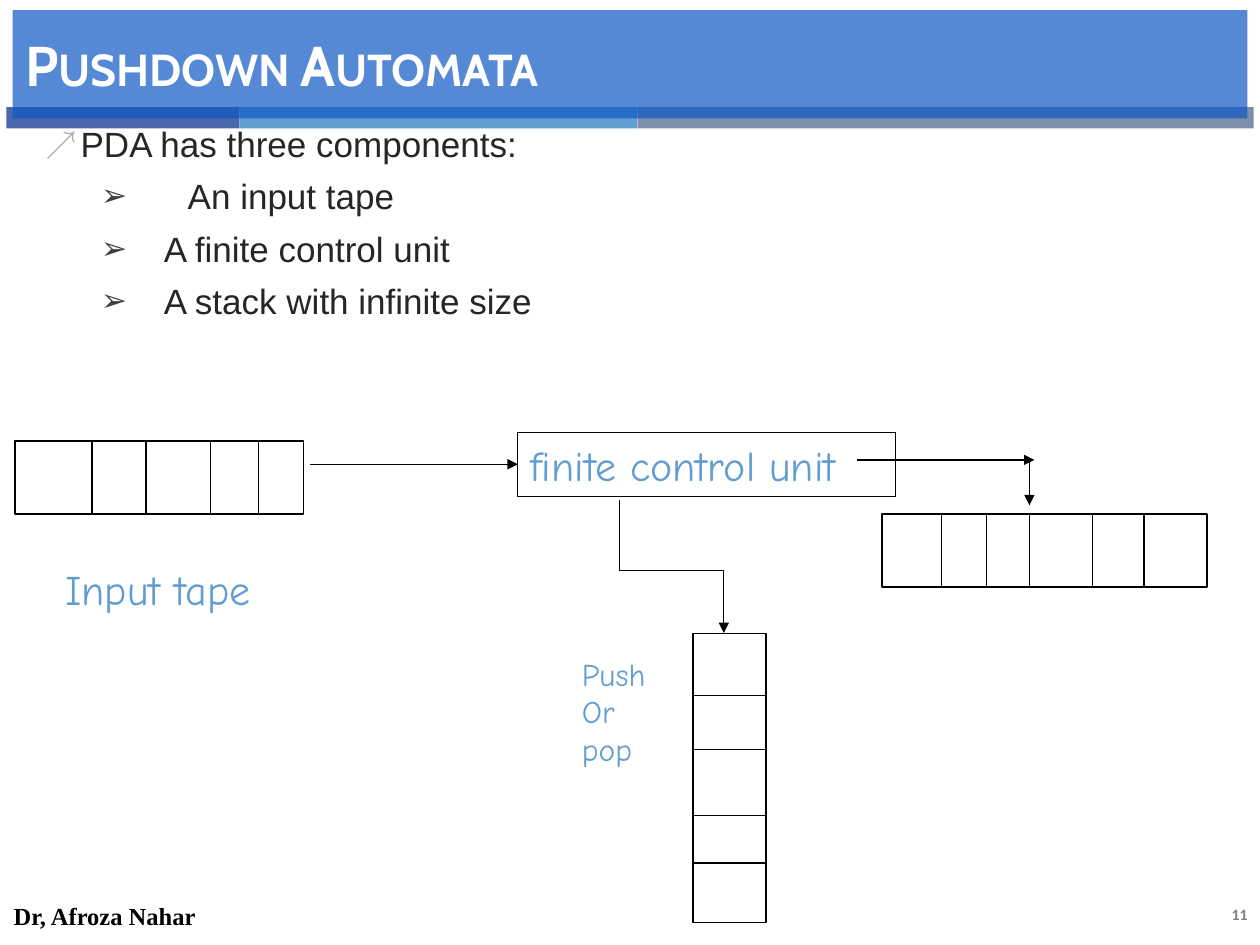
from lxml import etree
from pptx import Presentation
from pptx import util as u
from pptx.dml.color import RGBColor
from pptx.enum import shapes, text
from pptx.oxml.ns import qn

COLUMNS, ROWS = 100, 75
BLACK, BLUE = "000000", "629DD1"

presentation = Presentation()
presentation.slide_width, presentation.slide_height = u.Inches(10), u.Inches(7.5)
cell = presentation.slide_width // COLUMNS
slide = presentation.slides.add_slide(presentation.slide_layouts[1])
title, body = slide.shapes.title, slide.placeholders[1]


def grid(*lengths):
    """Turn counts of square grid cells into slide lengths."""
    return [round(length * cell) for length in lengths]


def write(paragraph, words, font, size, color, bold=False):
    run = paragraph.add_run()
    run.text = words
    run.font.name, run.font.size, run.font.bold = font, u.Pt(size), bold
    run.font.color.rgb = RGBColor.from_string(color)
    return run


# Coloured strip under the title
for left, width, color in [(0.5, 18.5, "4A66AC"), (19, 31.6, BLUE), (50.6, 48.9, "7F8FA9")]:
    strip = slide.shapes.add_shape(shapes.MSO_SHAPE.RECTANGLE, *grid(left, 8.5, width, 1.7))
    strip.shadow.inherit = False
    strip.fill.solid()
    strip.fill.fore_color.rgb = RGBColor.from_string(color)
    strip.line.fill.background()

# The list and the translucent title lie over the strip
tree = title.element.getparent()
tree.append(body.element)
tree.append(title.element)

body.left, body.top, body.width, body.height = grid(2.6, 9.2, 96.7, 60)
body.text_frame.auto_size = text.MSO_AUTO_SIZE.NONE
items = [
    ("PDA has three components:", 0, 2.8, 2.8, "↗", "A6A6A6"),
    ("An input tape", 1, 11.3, 6.9, "➢", "404040"),
    ("A finite control unit", 1, 9.4, 5, "➢", "404040"),
    ("A stack with infinite size", 1, 9.4, 5, "➢", "404040"),
]
for number, (words, level, margin, hanging, bullet, color) in enumerate(items):
    paragraph = body.text_frame.add_paragraph() if number else body.text_frame.paragraphs[0]
    paragraph.level = level
    paragraph.line_spacing = u.Pt(24)
    paragraph.space_before = u.Pt(6 if number else 0)
    write(paragraph, words, "Arial", 20, "262626")
    properties = paragraph._p.get_or_add_pPr()
    properties.set("marL", str(grid(margin)[0]))
    properties.set("indent", str(grid(-hanging)[0]))
    bullet_color = etree.SubElement(properties, qn("a:buClr"))
    etree.SubElement(bullet_color, qn("a:srgbClr"), val=color)
    etree.SubElement(properties, qn("a:buSzPct"), val="90000")
    etree.SubElement(properties, qn("a:buFont"), typeface="Arial")
    etree.SubElement(properties, qn("a:buChar"), char=bullet)

title.left, title.top, title.width, title.height = grid(1, 0.8, 98, 8.6)
title.fill.solid()
title.fill.fore_color.rgb = RGBColor.from_string("0E58C4")
fill_color = title.element.spPr.find(f".//{qn('a:srgbClr')}")
etree.SubElement(fill_color, qn("a:alpha"), val="70000")
title.text_frame.auto_size = text.MSO_AUTO_SIZE.NONE
title.text_frame.vertical_anchor = text.MSO_ANCHOR.MIDDLE
paragraph = title.text_frame.paragraphs[0]
paragraph.alignment = text.PP_ALIGN.LEFT
paragraph.space_before = u.Pt(6)
run = write(paragraph, "Pushdown Automata", "Cabin", 32, "FFFFFF", True)
run.font._element.set("cap", "small")

# Labels, footer and page number
labels = [
    (["Input tape"], (4.2, 44.2, 18.7, 5.1), "Comic Neue", 24, BLUE, False),
    (["Push", "Or", "pop"], (45.2, 51.4, 7.3, 10.1), "Comic Neue", 18, BLUE, False),
    (["Dr, Afroza Nahar"], (0.1, 70.7, 67, 4), "Times New Roman", 14, BLACK, True),
    (["11"], (87.3, 71.3, 12.7, 2.5), "Calibri", 9, "808080", True),
]
for rows, place, font, size, color, bold in labels:
    frame = slide.shapes.add_textbox(*grid(*place)).text_frame
    frame.word_wrap = bold
    frame.vertical_anchor = text.MSO_ANCHOR.MIDDLE
    for number, words in enumerate(rows):
        paragraph = frame.add_paragraph() if number else frame.paragraphs[0]
        write(paragraph, words, font, size, color, bold)
        if words == "11":
            paragraph.alignment = text.PP_ALIGN.RIGHT

# Control unit and the three tapes: place, then the divider positions along the long side
boxes = {
    "control unit": ((41.1, 34.3, 30, 5.1), []),
    "input tape": ((1.2, 35, 22.9, 5.8), [6.1, 10.4, 15.5, 19.3]),
    "output tape": ((70, 40.8, 25.8, 5.8), [4.7, 8.3, 11.7, 16.7, 20.8]),
    "stack": ((55, 50.3, 5.8, 22.9), [4.9, 9.2, 14.4, 18.2]),
}
straight, elbow = shapes.MSO_CONNECTOR.STRAIGHT, shapes.MSO_CONNECTOR.ELBOW
lines = []
drawn = {}
for name, ((left, top, width, height), dividers) in boxes.items():
    box = slide.shapes.add_shape(
        shapes.MSO_SHAPE.RECTANGLE, *grid(left, top, width, height))
    box.shadow.inherit = False
    box.fill.background()
    box.line.color.rgb = RGBColor.from_string(BLACK)
    box.line.width = u.Pt(0.75)
    drawn[name] = box
    for offset in dividers:
        if width > height:
            ends = (left + offset, top, left + offset, top + height)
        else:
            ends = (left, top + offset, left + width, top + offset)
        lines.append((straight, ends, False, None))

frame = drawn["control unit"].text_frame
frame.word_wrap = False
frame.vertical_anchor = text.MSO_ANCHOR.MIDDLE
frame.paragraphs[0].alignment = text.PP_ALIGN.LEFT
write(frame.paragraphs[0], "finite control unit", "Comic Neue", 24, BLUE)

lines += [
    (straight, (24.6, 36.85, 41.1, 36.85), True, "control unit"),
    (straight, (68, 36.5, 82.1, 36.5), True, None),
    (straight, (81.7, 36.7, 81.7, 40.1), True, None),
    (elbow, (58.6, 40.8, 48, 49.1), True, None),
]
for kind, ends, arrow, target in lines:
    connector = slide.shapes.add_connector(kind, *grid(*ends))
    connector.line.color.rgb = RGBColor.from_string(BLACK)
    connector.line.width = u.Pt(0.75)
    properties = connector._element.spPr
    etree.SubElement(properties, qn("a:effectLst"))
    if arrow:
        etree.SubElement(properties.find(qn("a:ln")), qn("a:tailEnd"), type="triangle")
    if target:
        connector.end_connect(drawn[target], 1)
    if kind == elbow:
        # A quarter turn makes the elbow leave and arrive vertically
        properties.find(qn("a:xfrm")).set("rot", "16200000")
        adjustments = properties.find(qn("a:prstGeom")).get_or_add_avLst()
        etree.SubElement(adjustments, qn("a:gd"), name="adj1", fmla="val 53200")

presentation.save("out.pptx")
